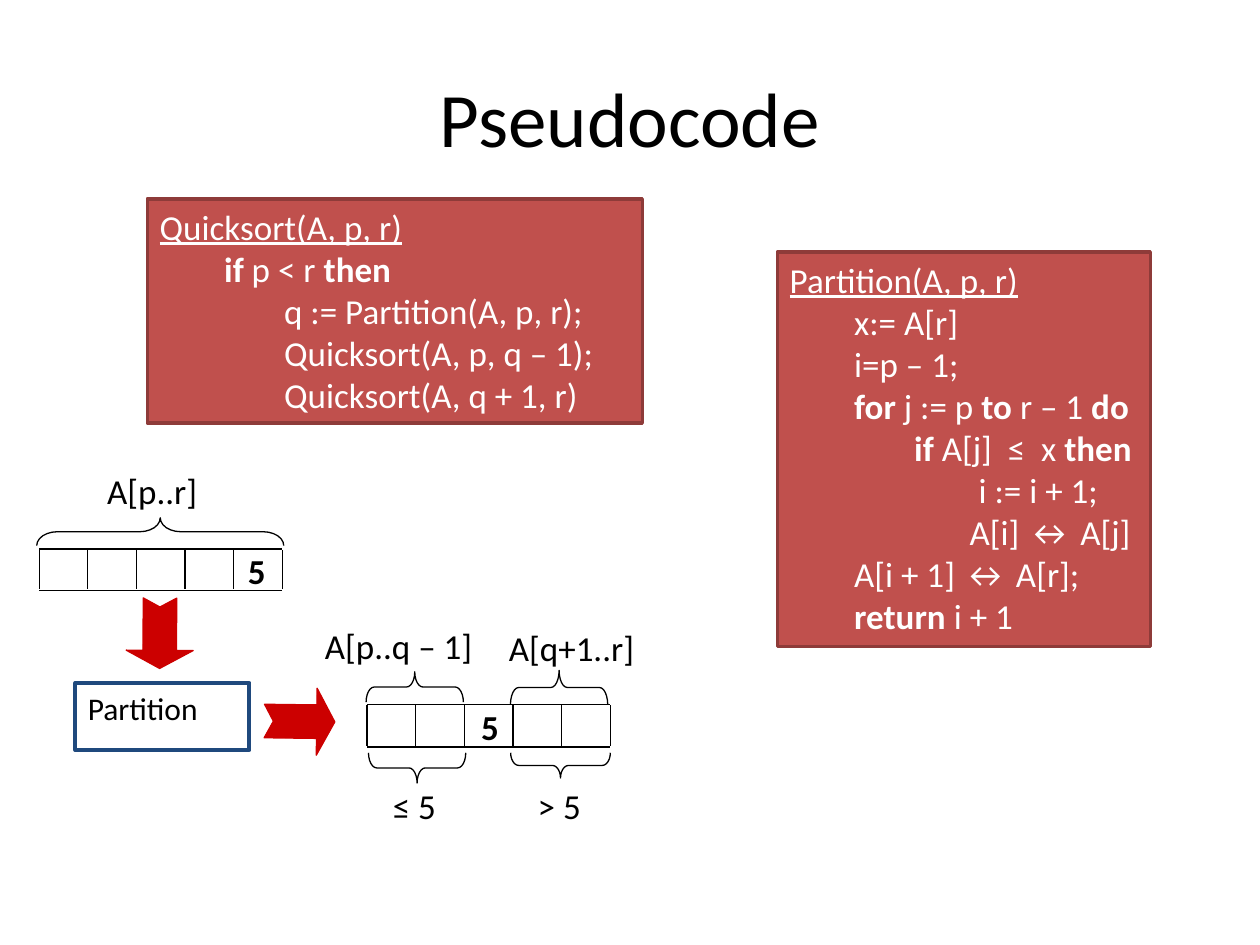
from lxml import etree
from pptx import Presentation
from pptx.dml.color import RGBColor
from pptx.enum.shapes import MSO_CONNECTOR, MSO_SHAPE
from pptx.enum.text import MSO_ANCHOR, PP_ALIGN
from pptx.oxml.ns import qn
from pptx.util import Cm, Pt

RECTANGLE = MSO_SHAPE.RECTANGLE
BRACE = MSO_SHAPE.LEFT_BRACE
ARROW = MSO_SHAPE.NOTCHED_RIGHT_ARROW
STRAIGHT = MSO_CONNECTOR.STRAIGHT

FONT = "Calibri"
COLORS = {
    "ink": "000000",
    "code_text": "FFFFFF",
    "code_fill": "C0504D",
    "code_edge": "8E3B39",
    "step_edge": "1F497D",
    "arrow": "CC0000",
}

prs = Presentation()
prs.slide_width, prs.slide_height = Cm(25.4), Cm(19.05)
slide = prs.slides.add_slide(prs.slide_layouts[5])
shapes = slide.shapes


def add_outlined(kind, box, edge, width, fill=None):
    shape = shapes.add_shape(kind, *map(Cm, box))
    shape.shadow.inherit = False
    shape.line.color.rgb = RGBColor.from_string(COLORS[edge])
    shape.line.width = Pt(width)
    if fill:
        shape.fill.solid()
        shape.fill.fore_color.rgb = RGBColor.from_string(COLORS[fill])
    else:
        shape.fill.background()
    return shape


def write_lines(shape, lines, size=20, color="ink", tabs=()):
    """Write one paragraph per line; words between asterisks become bold."""
    frame = shape.text_frame
    frame.word_wrap = True
    frame.vertical_anchor = MSO_ANCHOR.TOP
    for number, line in enumerate(lines):
        paragraph = frame.paragraphs[0] if number == 0 else frame.add_paragraph()
        paragraph.alignment = PP_ALIGN.LEFT
        if tabs:
            tab_list = etree.SubElement(paragraph._p.get_or_add_pPr(), qn("a:tabLst"))
            for stop in tabs:
                etree.SubElement(tab_list, qn("a:tab"), pos=str(Cm(stop)), algn="l")
        for index, part in enumerate(line.split("*")):
            if part:
                run = paragraph.add_run()
                run.text = part
                if index % 2:
                    run.font.bold = True
        paragraph.font.name = FONT
        paragraph.font.size = Pt(size)
        paragraph.font.color.rgb = RGBColor.from_string(COLORS[color])


title = shapes.title
title.left, title.top, title.width, title.height = Cm(1.27), Cm(0.76), Cm(22.86), Cm(3.18)
title.text_frame.text = "Pseudocode"
title.text_frame.vertical_anchor = MSO_ANCHOR.MIDDLE
heading = title.text_frame.paragraphs[0]
heading.alignment = PP_ALIGN.CENTER
heading.font.name = FONT
heading.font.size = Pt(44)
heading.font.color.rgb = RGBColor.from_string(COLORS["ink"])

# Pseudocode boxes
quicksort = [
    "Quicksort(A, p, r)",
    "\t*if* p < r *then*",
    "\t\tq := Partition(A, p, r);",
    "\t\tQuicksort(A, p, q – 1);",
    "\t\tQuicksort(A, q + 1, r)",
]
partition = [
    "Partition(A, p, r)",
    "\tx:= A[r]",
    "\ti=p – 1;",
    "\t*for* j := p *to *r – 1 *do*",
    "\t\t*if* A[j]  ≤  x *then*",
    "\t\t\ti := i + 1;",
    "\t\t       A[i] ↔ A[j]",
    "\tA[i + 1] ↔ A[r];",
    "\t*return *i + 1",
]
for listing, box in [
    (quicksort, (2.97, 4.01, 9.98, 4.52)),
    (partition, (15.67, 5.08, 7.52, 7.95)),
]:
    code_box = add_outlined(RECTANGLE, box, "code_edge", 2, "code_fill")
    write_lines(code_box, listing, color="code_text", tabs=(1.3, 2.51, 3.81, 4.93))
    code_box.text_frame.paragraphs[0].font.underline = True

# Array before and after partitioning: two rules and six cell borders each
CELLS, PITCH = 5, 0.98
for left, top, height in [(0.79, 11.07, 0.83), (7.4, 14.2, 0.86)]:
    right, bottom = left + CELLS * PITCH, top + height
    rules = [(left, y, right, y) for y in (top, bottom)]
    borders = [
        (left + i * PITCH, top + 0.02, left + i * PITCH, bottom - 0.03)
        for i in range(CELLS + 1)
    ]
    for ends in rules + borders:
        border = shapes.add_connector(STRAIGHT, *map(Cm, ends))
        border.line.color.rgb = RGBColor.from_string(COLORS["ink"])
        border.line.width = Pt(0.75)
        etree.SubElement(border._element.spPr, qn("a:effectLst"))

# Braces: centre x, centre y, span, depth, rotation, curvature
for x, y, span, depth, rotation, curve in [
    (3.23, 10.72, 4.98, 0.56, 90, 0.74),
    (8.36, 13.85, 1.96, 0.61, 90, 0.27),
    (11.27, 13.86, 1.96, 0.69, 90, 0.24),
    (8.41, 15.48, 1.96, 0.61, 270, 0.27),
    (11.3, 15.43, 2.01, 0.51, 270, 0.32),
]:
    brace = add_outlined(BRACE, (x - depth / 2, y - span / 2, depth, span), "ink", 0.75)
    brace.rotation = rotation
    brace.adjustments[0] = curve

for label, left, top, width in [
    ("A[p..r]", 1.91, 9.35, 2.44),
    ("*5*", 4.75, 10.95, 0.86),
    ("A[p..q – 1]", 6.3, 12.47, 3.61),
    ("A[q+1..r]", 10.01, 12.5, 3.18),
    ("*5*", 9.45, 14.1, 0.86),
    ("≤ 5", 7.67, 15.7, 1.42),
    ("> 5", 10.59, 15.7, 1.52),
]:
    label_box = shapes.add_textbox(Cm(left), Cm(top), Cm(width), Cm(1.1))
    write_lines(label_box, [label])

# Partition step with the arrows into and out of it
step = add_outlined(RECTANGLE, (1.52, 13.77, 3.51, 1.35), "step_edge", 2.25)
write_lines(step, ["Partition"], size=18)
for left, top, rotation in [(5.33, 13.87, 0.7), (2.51, 12.09, 90.3)]:
    arrow = add_outlined(ARROW, (left, top, 1.42, 1.35), "arrow", 0.75, "arrow")
    arrow.rotation = rotation
    arrow.adjustments[0] = 0.5
    arrow.adjustments[1] = 0.27

prs.save("out.pptx")
